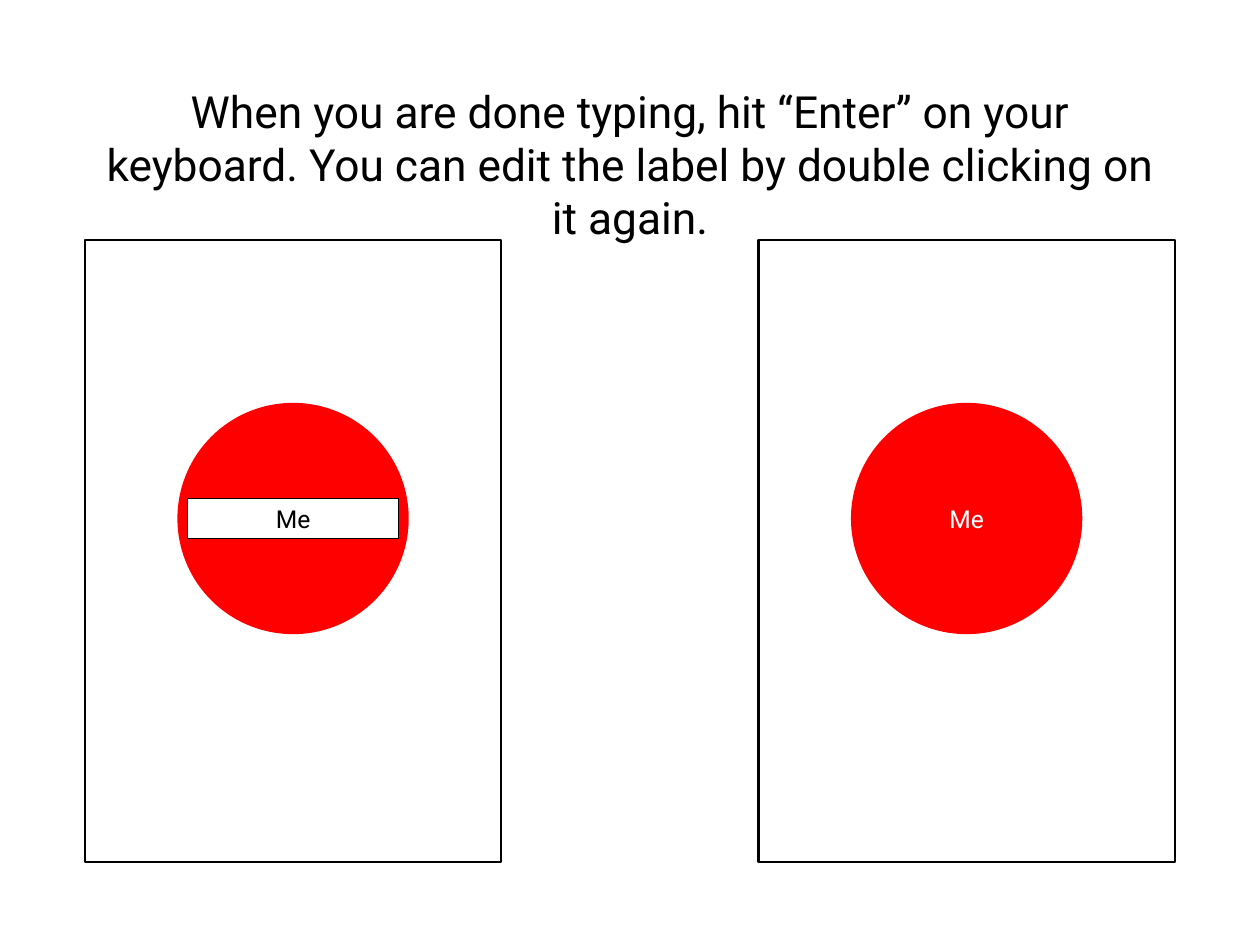
from pptx import Presentation
from pptx.dml.color import RGBColor
from pptx.enum import shapes, text
from pptx.util import Pt

COLOURS = {"black": "000000", "white": "FFFFFF", "red": "FF0000"}
FONT = "Roboto"
INSTRUCTION = ("When you are done typing, hit “Enter” on your keyboard. "
               "You can edit the label by double clicking on it again.")
FRAME_FORMAT = {
    "word_wrap": True,
    "auto_size": text.MSO_AUTO_SIZE.NONE,
    "vertical_anchor": text.MSO_ANCHOR.MIDDLE,
    "margin_left": Pt(4.5),
    "margin_right": Pt(4.5),
    "margin_top": Pt(4.5),
    "margin_bottom": Pt(4.5),
}
PANEL_SIZE = (338.4, 505.4)
CIRCLE_DIAMETER = 188
LABEL_SIZE = (171.4, 32.4)
CENTRE_DROP = 226.4  # from panel top to the centre of circle and label


def colour(name):
    return RGBColor.from_string(COLOURS[name])


def write(shape, words, size, colour_name):
    """Fill the shape with one centred paragraph."""
    frame = shape.text_frame
    for name, value in FRAME_FORMAT.items():
        setattr(frame, name, value)
    paragraph = frame.paragraphs[0]
    paragraph.alignment = text.PP_ALIGN.CENTER
    run = paragraph.add_run()
    run.text = words
    for name, value in {"name": FONT, "size": Pt(size)}.items():
        setattr(run.font, name, value)
    run.font.color.rgb = colour(colour_name)


def add_shape(parent, kind, box, fill=None, line_width=None):
    shape = parent.shapes.add_shape(kind, *map(Pt, box))
    shape.shadow.inherit = False
    if fill:
        shape.fill.solid()
        shape.fill.fore_color.rgb = colour(fill)
    else:
        shape.fill.background()
    if line_width:
        shape.line.color.rgb = colour("black")
        shape.line.width = Pt(line_width)
    else:
        shape.line.fill.background()
    return shape


def add_instruction(slide, box):
    write(slide.shapes.add_textbox(*map(Pt, box)), INSTRUCTION, 36, "black")


def add_panel(slide, box, editing):
    """Draw a framed circle whose label is either open for editing or done."""
    left, top, width, height = box

    def centred(item_width, item_height):
        return (left + (width - item_width) / 2,
                top + CENTRE_DROP - item_height / 2, item_width, item_height)

    panel = slide.shapes.add_group_shape()
    add_shape(panel, shapes.MSO_SHAPE.OVAL,
              centred(CIRCLE_DIAMETER, CIRCLE_DIAMETER), fill="red")
    add_shape(panel, shapes.MSO_SHAPE.RECTANGLE, box, line_width=2)
    label_box = centred(*LABEL_SIZE)
    if editing:
        label = add_shape(panel, shapes.MSO_SHAPE.RECTANGLE, label_box,
                          fill="white", line_width=1)
    else:
        label = panel.shapes.add_textbox(*map(Pt, label_box))
    write(label, "Me", 20, "black" if editing else "white")


def main():
    presentation = Presentation()
    presentation.slide_width = Pt(1024)
    presentation.slide_height = Pt(768)
    slide = presentation.slides.add_slide(presentation.slide_layouts[6])
    add_instruction(slide, (77, 63.4, 870, 139))
    for left, editing in ((69, True), (616.4, False)):
        add_panel(slide, (left, 195, *PANEL_SIZE), editing)
    presentation.save("out.pptx")


if __name__ == "__main__":
    main()
